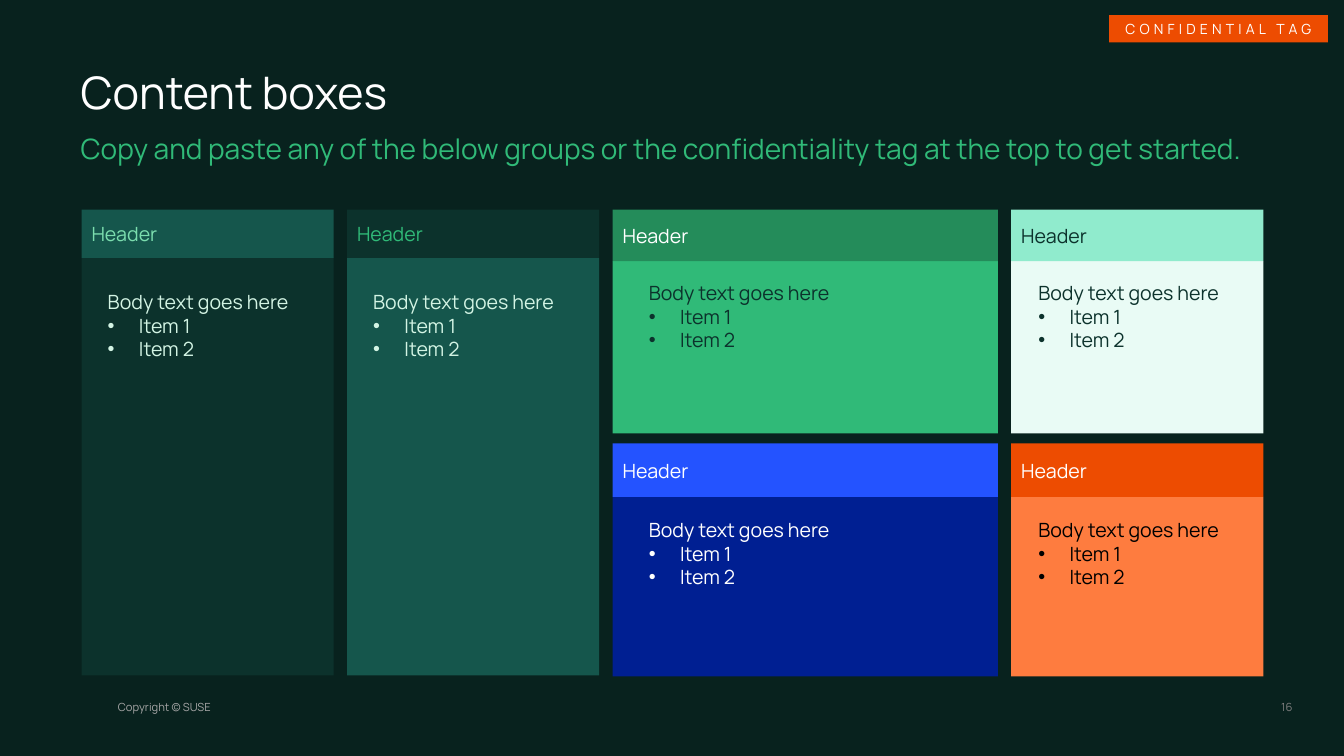
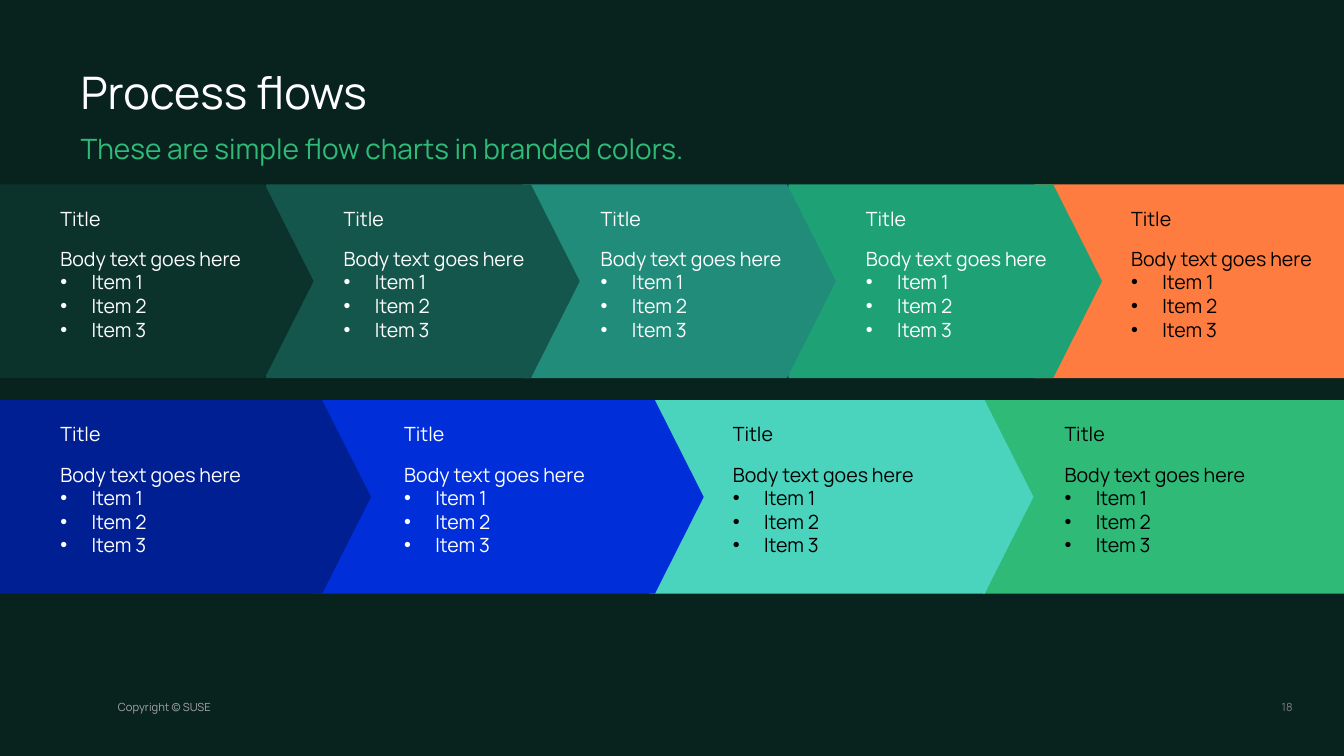
"""Build two dark slides: content boxes and process flows."""
from lxml import etree
from pptx import Presentation
from pptx.dml.color import RGBColor
from pptx.enum.shapes import MSO_SHAPE
from pptx.enum.text import MSO_ANCHOR, PP_ALIGN
from pptx.oxml.ns import qn
from pptx.util import Inches, Pt

RECT, ARROW = MSO_SHAPE.RECTANGLE, MSO_SHAPE.PENTAGON
TOP, MIDDLE = MSO_ANCHOR.TOP, MSO_ANCHOR.MIDDLE
LEFT, CENTER, RIGHT = PP_ALIGN.LEFT, PP_ALIGN.CENTER, PP_ALIGN.RIGHT

SLIDE_W, SLIDE_H = 13.33, 7.5
MARGIN, CONTENT_W = 0.8, 11.73
FONT = "Manrope"
BACKGROUND, PINE, TEAL, JUNGLE, MINT = "08221E", "0C322C", "15564C", "30BA78", "D3F4E4"
NAVY, ORANGE, PERSIMMON = "001F92", "FE7C3F", "ED4C01"
WHITE, BLACK = "FFFFFF", "000000"

BODY, ITEM = "Body text goes here", "Item {}"
INDENT = 0.31

BOX_LEFT, BOX_RIGHT = 0.81, 12.53
BOX_WIDTHS = [2.5, 2.5, 3.82, 2.5]
BOX_INSETS = [0.16, 0.16, 0.26, 0.17]
# rows: top, header height, bottom, gap from header to body text
BOX_ROWS = {
    "tall": (2.08, 0.48, 6.7, 0.27),
    "upper": (2.08, 0.51, 4.3, 0.15),
    "lower": (4.4, 0.53, 6.71, 0.16),
}
# column, row, header fill, header ink, body fill, body ink
BOXES = [
    (0, "tall", TEAL, "7BDDAE", PINE, MINT),
    (1, "tall", PINE, JUNGLE, TEAL, MINT),
    (2, "upper", "248C5A", WHITE, JUNGLE, PINE),
    (3, "upper", "90EBCD", PINE, "E9FBF5", PINE),
    (2, "lower", "2453FF", WHITE, NAVY, WHITE),
    (3, "lower", PERSIMMON, WHITE, ORANGE, BLACK),
]

FLOW_H, POINT = 1.92, 0.252
# top, text width, steps of (left, right, text left, fill, ink)
FLOWS = [
    (1.83, 2.02, [
        (0, 3.11, 0.5, PINE, WHITE),
        (2.64, 5.75, 3.31, TEAL, WHITE),
        (5.18, 8.29, 5.86, "228C7B", WHITE),
        (7.82, 10.93, 8.49, "1DA175", WHITE),
        (10.26, SLIDE_W, 11.12, ORANGE, BLACK),
    ]),
    (3.97, 2.39, [
        (0, 3.68, 0.5, NAVY, WHITE),
        (3.11, 6.98, 3.91, "002FDA", WHITE),
        (6.44, 10.25, 7.17, "4AD4BE", BLACK),
        (9.75, SLIDE_W, 10.46, JUNGLE, BLACK),
    ]),
]


def rgb(value):
    return RGBColor.from_string(value)


def add_run(p, text, size, color):
    r = p.add_run()
    r.text = text
    r.font.name, r.font.size = FONT, Pt(size)
    r.font.color.rgb = rgb(color)
    return r


def add_text(shapes, box, text, size, color, align=LEFT, anchor=TOP, inset=None):
    sp = shapes.add_textbox(*map(Inches, box))
    tf = sp.text_frame
    tf.word_wrap, tf.vertical_anchor = True, anchor
    if inset is not None:
        tf.margin_left = tf.margin_right = tf.margin_top = tf.margin_bottom = Inches(inset)
    p = tf.paragraphs[0]
    p.alignment = align
    add_run(p, text, size, color)
    return tf


def add_body(shapes, box, count, color):
    tf = add_text(shapes, box, BODY, 14, color)
    for n in range(1, count + 1):
        p = tf.add_paragraph()
        pPr = p._p.get_or_add_pPr()
        pPr.set("marL", str(Inches(INDENT)))
        pPr.set("indent", str(-Inches(INDENT)))
        etree.SubElement(pPr, qn("a:buFont")).set("typeface", "Arial")
        etree.SubElement(pPr, qn("a:buChar")).set("char", "•")
        add_run(p, ITEM.format(n), 14, color)


def add_block(shapes, kind, box, fill):
    sp = shapes.add_shape(kind, *map(Inches, box))
    sp.shadow.inherit = False
    sp.fill.solid()
    sp.fill.fore_color.rgb = rgb(fill)
    sp.line.fill.background()
    return sp


def add_label(sp, text, size, color, align=LEFT):
    tf = sp.text_frame
    tf.word_wrap, tf.vertical_anchor = True, MIDDLE
    p = tf.paragraphs[0]
    p.alignment = align
    return add_run(p, text, size, color)


def add_slide(prs, title, subtitle, number):
    s = prs.slides.add_slide(prs.slide_layouts[6])
    add_text(s.shapes, (1.17, 6.95, 1.35, 0.13), "Copyright © SUSE", 8, "A6A6A6", inset=0)
    add_text(s.shapes, (12.5, 6.95, 0.32, 0.13), number, 8, "808080", RIGHT, inset=0)
    tf = add_text(s.shapes, (MARGIN, 0.69, CONTENT_W, 0.5), title, 32, WHITE,
                  anchor=MIDDLE, inset=0)
    tf.paragraphs[0].line_spacing = 0.9
    tf = add_text(s.shapes, (MARGIN, 1.27, CONTENT_W, 0.36), subtitle, 20, JUNGLE, inset=0)
    tf.paragraphs[0].line_spacing = 1.1
    return s


def build_boxes(prs):
    s = add_slide(prs, "Content boxes", "Copy and paste any of the below groups or the "
                  "confidentiality tag at the top to get started.", "16")
    gap = (BOX_RIGHT - BOX_LEFT - sum(BOX_WIDTHS)) / (len(BOX_WIDTHS) - 1)
    for col, row, head_fill, head_ink, body_fill, body_ink in BOXES:
        x = BOX_LEFT + sum(BOX_WIDTHS[:col]) + gap * col
        w, inset = BOX_WIDTHS[col], BOX_INSETS[col]
        top, head_h, bottom, text_gap = BOX_ROWS[row]
        y = top + head_h
        shapes = s.shapes.add_group_shape().shapes
        add_block(shapes, RECT, (x, y, w, bottom - y), body_fill)
        header = add_block(shapes, RECT, (x, top, w, head_h), head_fill)
        add_label(header, "Header", 14, head_ink)
        add_body(shapes, (x + inset, y + text_gap, w - 2 * inset, 0.87), 2, body_ink)
    tag = add_block(s.shapes, RECT, (11, 0.15, 2.17, 0.27), PERSIMMON)
    r = add_label(tag, "CONFIDENTIAL TAG", 10, WHITE, CENTER)
    r.font._element.set("spc", "300")


def build_flows(prs):
    s = add_slide(prs, "Process flows", "These are simple flow charts in branded colors.", "18")
    for top, text_w, steps in FLOWS:
        shapes = s.shapes.add_group_shape().shapes
        for left, right, text_x, fill, ink in reversed(steps):
            arrow = add_block(shapes, ARROW, (left, top, right - left, FLOW_H), fill)
            arrow.adjustments[0] = 0 if right == SLIDE_W else POINT
            add_body(shapes, (text_x, top + 0.57, text_w, 1.04), 3, ink)
            add_text(shapes, (text_x, top + 0.17, text_w, 0.34), "Title", 14, ink)


def main():
    prs = Presentation()
    prs.slide_width, prs.slide_height = Inches(SLIDE_W), Inches(SLIDE_H)
    fill = prs.slide_master.background.fill
    fill.solid()
    fill.fore_color.rgb = rgb(BACKGROUND)
    build_boxes(prs)
    build_flows(prs)
    prs.save("out.pptx")


if __name__ == "__main__":
    main()
